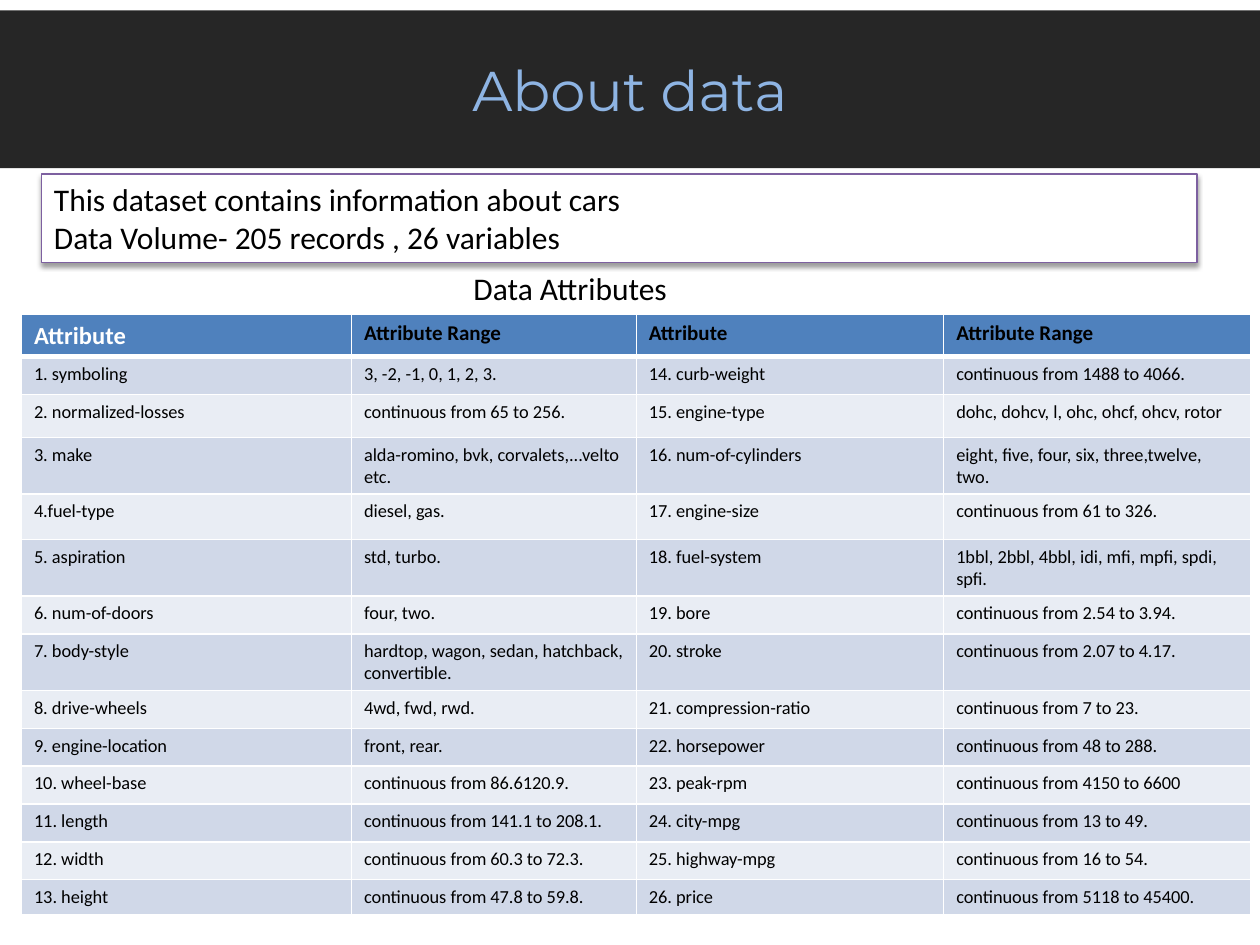
from dataclasses import dataclass

from lxml.etree import SubElement
from pptx import Presentation
from pptx.dml.color import RGBColor
from pptx.enum.shapes import MSO_SHAPE
from pptx.enum.text import MSO_ANCHOR, PP_ALIGN
from pptx.oxml.ns import qn
from pptx.util import Inches, Pt


@dataclass(frozen=True)
class Theme:
    banner: str = "262626"
    title: str = "8EB4E3"
    ink: str = "000000"
    paper: str = "FFFFFF"
    outline: str = "7D60A0"
    header: str = "4F81BD"
    bands: tuple = ("D0D8E8", "E9EDF4")
    title_font: str = "Montserrat"
    body_font: str = "Calibri"
    title_size: float = 32
    body_size: float = 18
    first_header_size: float = 14
    header_size: float = 12
    cell_size: float = 10.5


THEME = Theme()
SLIDE_WIDTH, SLIDE_HEIGHT = 10, 7.5
COLUMN_WIDTHS = (2.62, 2.26, 2.44, 2.44)
HEADINGS = ("Attribute", "Attribute Range") * 2
ATTRIBUTES = (
    ("1. symboling", "3, -2, -1, 0, 1, 2, 3.",
     "14. curb-weight", "continuous from 1488 to 4066."),
    ("2. normalized-losses", "continuous from 65 to 256.",
     "15. engine-type", "dohc, dohcv, l, ohc, ohcf, ohcv, rotor"),
    ("3. make", "alda-romino, bvk, corvalets,...velto etc.",
     "16. num-of-cylinders", "eight, five, four, six, three,twelve, two."),
    ("4.fuel-type", "diesel, gas.",
     "17. engine-size", "continuous from 61 to 326."),
    ("5. aspiration", "std, turbo.",
     "18. fuel-system", "1bbl, 2bbl, 4bbl, idi, mfi, mpfi, spdi, spfi."),
    ("6. num-of-doors", "four, two.",
     "19. bore", "continuous from 2.54 to 3.94."),
    ("7. body-style", "hardtop, wagon, sedan, hatchback, convertible.",
     "20. stroke", "continuous from 2.07 to 4.17."),
    ("8. drive-wheels", "4wd, fwd, rwd.",
     "21. compression-ratio", "continuous from 7 to 23."),
    ("9. engine-location", "front, rear.",
     "22. horsepower", "continuous from 48 to 288."),
    ("10. wheel-base", "continuous from 86.6120.9.",
     "23. peak-rpm", "continuous from 4150 to 6600"),
    ("11. length", "continuous from 141.1 to 208.1.",
     "24. city-mpg", "continuous from 13 to 49."),
    ("12. width", "continuous from 60.3 to 72.3.",
     "25. highway-mpg", "continuous from 16 to 54."),
    ("13. height", "continuous from 47.8 to 59.8.",
     "26. price", "continuous from 5118 to 45400."),
)
# Row heights: most rows share one height, wrapped rows take two lines
ROW_HEIGHT, TWO_LINES = 0.3, 0.45
SPECIAL_HEIGHTS = {0: 0.32, 2: 0.34, 3: TWO_LINES, 4: 0.36,
                   5: TWO_LINES, 7: TWO_LINES, 13: 0.28}


def share_box(left, top, width, height):
    """Turn shares of the slide's size into a box of lengths."""
    return (Inches(SLIDE_WIDTH * left), Inches(SLIDE_HEIGHT * top),
            Inches(SLIDE_WIDTH * width), Inches(SLIDE_HEIGHT * height))


def rgb(color):
    return RGBColor.from_string(color)


def fill_with(part, color):
    part.fill.solid()
    part.fill.fore_color.rgb = rgb(color)


def write(frame, text, size, color=THEME.ink, font=THEME.body_font,
          bold=False, align=PP_ALIGN.LEFT):
    frame.text = text
    for paragraph in frame.paragraphs:
        paragraph.alignment = align
        paragraph.font.name = font
        paragraph.font.size = Pt(size)
        paragraph.font.bold = bold
        paragraph.font.color.rgb = rgb(color)


def add_soft_shadow(shape):
    shape.shadow.inherit = False
    effects = shape.element.spPr.find(qn("a:effectLst"))
    shadow = SubElement(effects, qn("a:outerShdw"), blurRad=str(Pt(3.1)),
                        dist=str(Pt(1.6)), dir="5400000", rotWithShape="0")
    tint = SubElement(shadow, qn("a:srgbClr"), val=THEME.ink)
    SubElement(tint, qn("a:alpha"), val="38000")


def set_borders(cell, top, bottom):
    properties = cell._tc.get_or_add_tcPr()
    for side, width in (("L", 1), ("R", 1), ("T", top), ("B", bottom)):
        border = SubElement(properties, qn(f"a:ln{side}"), w=str(Pt(width)))
        paint = SubElement(border, qn("a:solidFill"))
        SubElement(paint, qn("a:srgbClr"), val=THEME.paper)


def place_title(slide, box):
    banner = slide.shapes.title
    banner.left, banner.top, banner.width, banner.height = box
    fill_with(banner, THEME.banner)
    banner.text_frame.vertical_anchor = MSO_ANCHOR.MIDDLE
    write(banner.text_frame, "About data", THEME.title_size, THEME.title,
          THEME.title_font, align=PP_ALIGN.CENTER)


def place_summary(slide, box):
    summary = slide.shapes.add_shape(MSO_SHAPE.RECTANGLE, *box)
    fill_with(summary, THEME.paper)
    summary.line.color.rgb = rgb(THEME.outline)
    summary.line.width = Pt(0.75)
    add_soft_shadow(summary)
    summary.text_frame.word_wrap = True
    summary.text_frame.vertical_anchor = MSO_ANCHOR.TOP
    write(summary.text_frame,
          "This dataset contains information about cars\n"
          "Data Volume- 205 records , 26 variables", THEME.body_size)


def place_caption(slide, box):
    caption = slide.shapes.add_textbox(*box)
    caption.text_frame.word_wrap = True
    write(caption.text_frame, "Data Attributes", THEME.body_size)


def place_attributes(slide, box):
    rows = (HEADINGS, *ATTRIBUTES)
    grid = slide.shapes.add_table(len(rows), len(HEADINGS), *box).table
    for column, width in zip(grid.columns, COLUMN_WIDTHS):
        column.width = Inches(width)
    for r, entries in enumerate(rows):
        grid.rows[r].height = Inches(SPECIAL_HEIGHTS.get(r, ROW_HEIGHT))
        for c, entry in enumerate(entries):
            cell = grid.cell(r, c)
            set_borders(cell, top=3 if r == 1 else 1,
                        bottom=3 if r == 0 else 1)
            if r > 0:
                fill_with(cell, THEME.bands[(r - 1) % 2])
                write(cell.text_frame, entry, THEME.cell_size)
                continue
            # The first heading is larger and white
            fill_with(cell, THEME.header)
            size, color = ((THEME.first_header_size, THEME.paper) if c == 0
                           else (THEME.header_size, THEME.ink))
            write(cell.text_frame, entry, size, color, bold=True)


def main():
    deck = Presentation()
    deck.slide_width = Inches(SLIDE_WIDTH)
    deck.slide_height = Inches(SLIDE_HEIGHT)
    slide = deck.slides.add_slide(deck.slide_layouts.get_by_name("Title Only"))
    place_title(slide, share_box(0, 0.011, 1, 0.167))
    place_summary(slide, share_box(0.033, 0.184, 0.917, 0.094))
    place_caption(slide, share_box(0.366, 0.278, 0.267, 0.054))
    place_attributes(slide, share_box(0.017, 0.333, 0.976, 0.633))
    deck.save("out.pptx")


if __name__ == "__main__":
    main()
